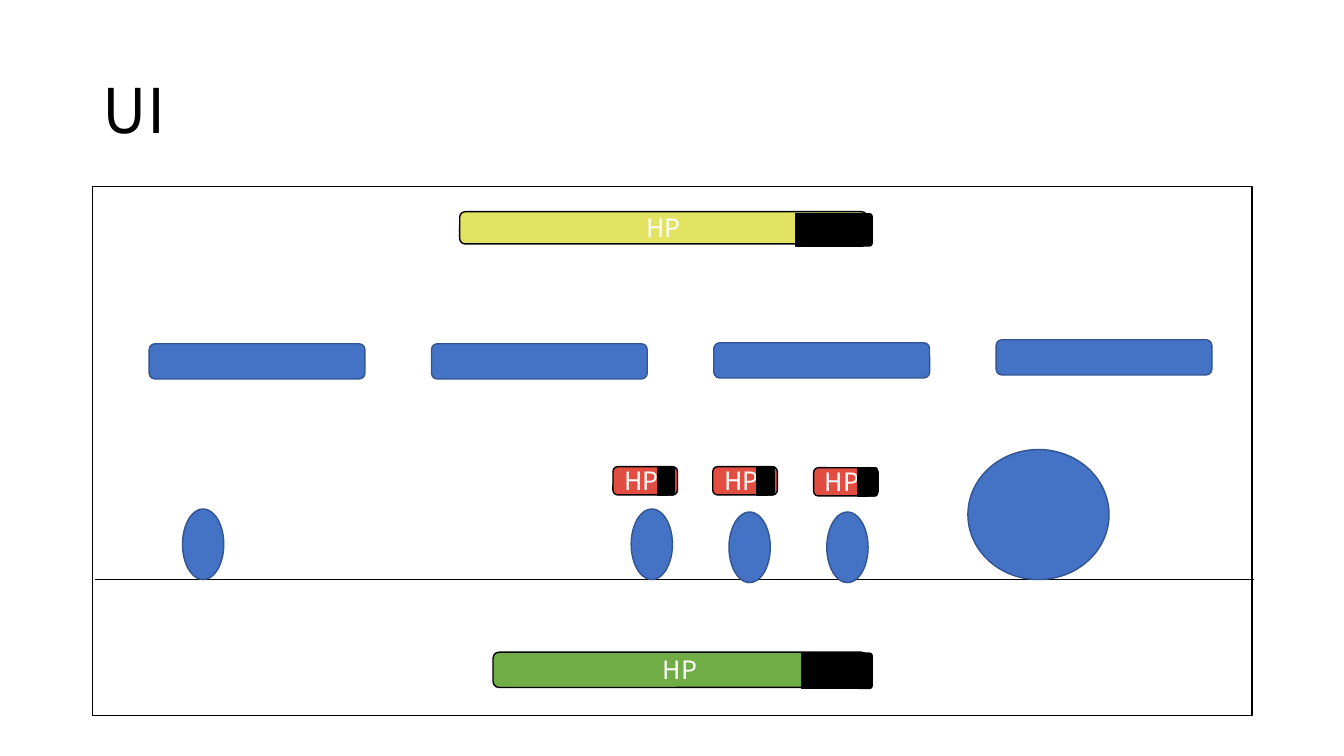
from pptx import Presentation
from pptx import util as u
from pptx.dml.color import RGBColor
from pptx.enum import shapes, text
from pptx.oxml.ns import qn
from lxml import etree

COLORS = {
    "ink": "000000", "label": "FFFFFF", "body": "4472C4", "edge": "325491",
    "player": "70AD47", "enemy": "E24D42", "boss": "E3E363",
}
FONT = "Noto Sans CJK KR"
KIND = shapes.MSO_SHAPE
ALIGN = text.PP_ALIGN


def color(name):
    return RGBColor.from_string(COLORS[name])


def write(frame, words, size=18, ink="label", align=ALIGN.LEFT, spacing=None):
    frame.word_wrap = True
    frame.vertical_anchor = text.MSO_ANCHOR.MIDDLE
    paragraph = frame.paragraphs[0]
    paragraph.alignment = align
    paragraph.line_spacing = spacing
    run = paragraph.add_run()
    run.text = words
    run.font.size = u.Pt(size)
    run.font.name = FONT
    run.font.color.rgb = color(ink)


class Mockup:
    def __init__(self, slide):
        self.slide = slide

    def title(self, words, *box):
        heading = self.slide.shapes.title
        heading.left, heading.top, heading.width, heading.height = map(u.Inches, box)
        write(heading.text_frame, words, size=44, ink="ink", spacing=0.9)

    def shape(self, kind, *box, fill="body", line="edge"):
        part = self.slide.shapes.add_shape(kind, *map(u.Inches, box))
        part.shadow.inherit = False
        if fill:
            part.fill.solid()
            part.fill.fore_color.rgb = color(fill)
        else:
            part.fill.background()
        part.line.color.rgb = color(line)
        part.line.width = u.Pt(1)
        return part

    def line(self, *ends):
        ground = self.slide.shapes.add_connector(
            shapes.MSO_CONNECTOR.STRAIGHT, *map(u.Inches, ends))
        ground.line.color.rgb = color("ink")
        ground.line.width = u.Pt(0.5)
        etree.SubElement(ground._element.spPr, qn("a:effectLst"))

    def health(self, left, top, width, height, fill, loss, cap, drop=0, align=ALIGN.LEFT):
        bar = self.shape(KIND.ROUNDED_RECTANGLE, left, top, width, height,
                         fill=fill, line="ink")
        write(bar.text_frame, "HP", align=align)
        for kind, (start, span) in ((KIND.RECTANGLE, loss),
                                    (KIND.ROUNDED_RECTANGLE, cap)):
            self.shape(kind, start, top + drop, span, height, fill="ink", line="ink")


deck = Presentation()
deck.slide_width, deck.slide_height = u.Inches(13.33), u.Inches(7.5)
mockup = Mockup(deck.slides.add_slide(deck.slide_layouts[5]))

mockup.title("UI", 0.92, 0.4, 11.5, 1.45)
mockup.shape(KIND.RECTANGLE, 0.92, 1.85, 11.5, 5.25, fill=None, line="ink")
mockup.line(0.94, 5.75, 12.44, 5.75)

for left, top in ((1.81, 5.05), (6.26, 5.05), (7.23, 5.08), (8.2, 5.08)):
    mockup.shape(KIND.OVAL, left, top, 0.41, 0.7)
mockup.shape(KIND.OVAL, 9.6, 4.46, 1.4, 1.29)

for column, top in enumerate((3.41, 3.41, 3.4, 3.37)):
    mockup.shape(KIND.ROUNDED_RECTANGLE, 1.48 + 2.8 * column, top, 2.14, 0.35)

for left, top, cap_width in ((6.08, 4.63, 0.1), (7.07, 4.63, 0.1), (8.07, 4.64, 0.12)):
    mockup.health(left, top, 0.64, 0.28, "enemy",
                  loss=(left + 0.44, 0.1), cap=(left + 0.51, cap_width))
mockup.health(4.56, 2.1, 4.04, 0.32, "boss", loss=(7.89, 0.67), cap=(8.49, 0.16),
              drop=0.02, align=ALIGN.CENTER)
mockup.health(4.89, 6.47, 3.71, 0.35, "player", loss=(7.95, 0.62), cap=(8.5, 0.15),
              drop=0.01, align=ALIGN.CENTER)

deck.save("out.pptx")
